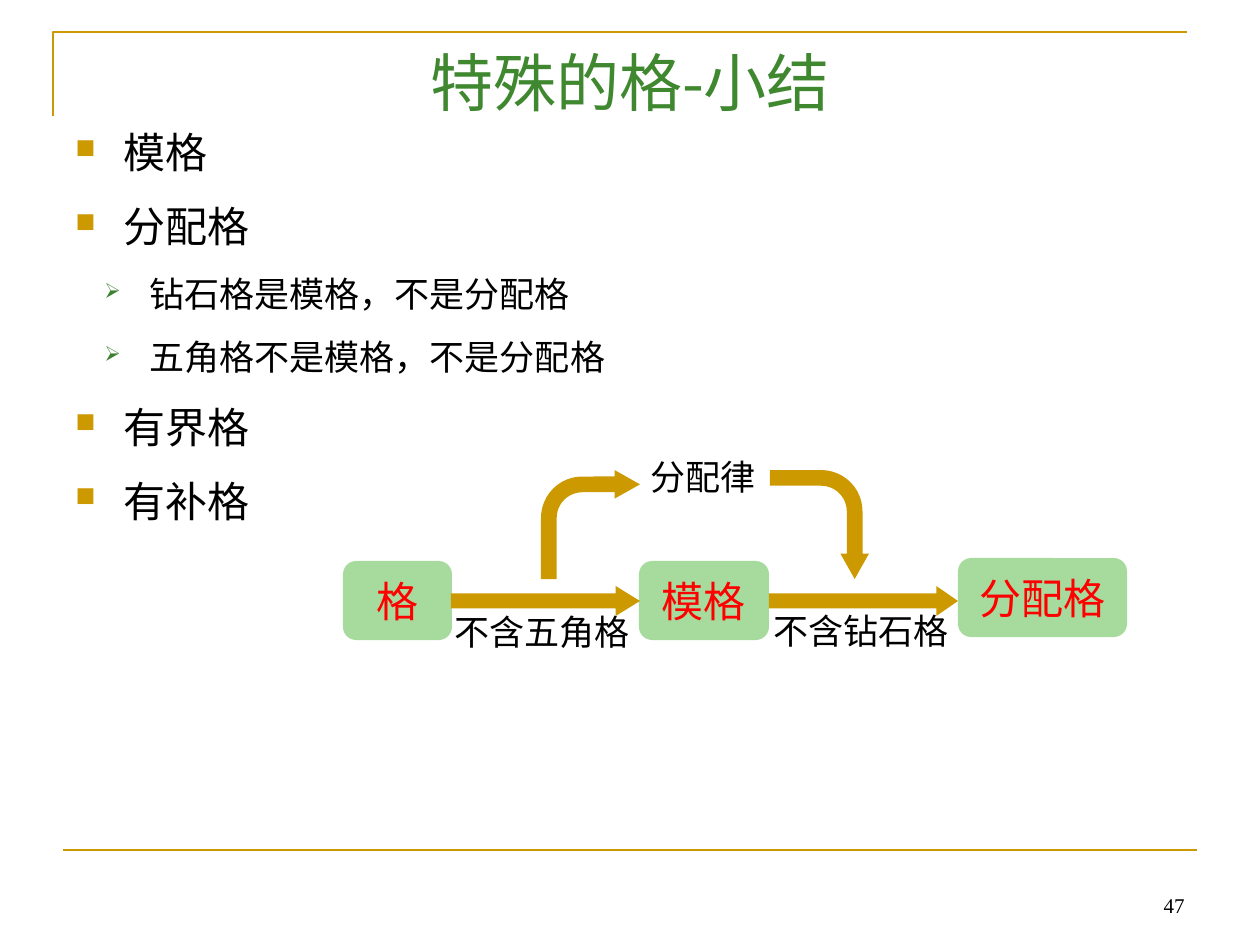
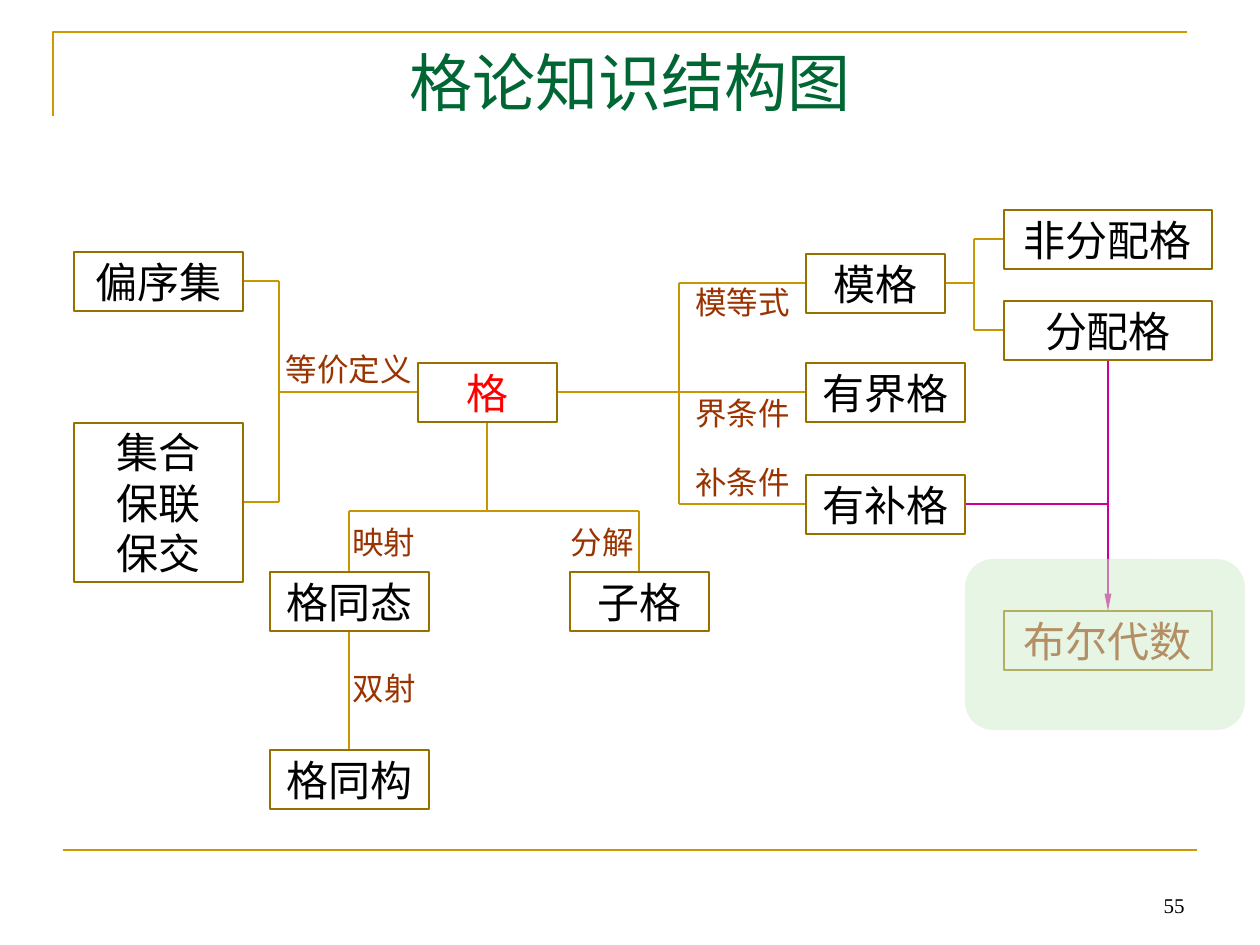
from dataclasses import dataclass

from pptx import Presentation
from pptx.dml.color import RGBColor
from pptx.enum.shapes import MSO_CONNECTOR, MSO_SHAPE
from pptx.enum.text import MSO_ANCHOR, PP_ALIGN
from pptx.oxml import parse_xml
from pptx.oxml.ns import nsdecls, qn
from pptx.util import Emu, Pt

PX = 914400 / 126
SANS, SANS_JP, SERIF = "Noto Sans CJK SC", "Noto Sans CJK JP", "Times New Roman"
GOLD, DARK_GOLD, LINK = "CC9900", "977100", "C89600"
BLACK, RED, BROWN, MAGENTA = "000000", "FF0000", "993300", "CC0099"
LEAF, PALE_LEAF = "A6DB9D", "D0ECCB"
NODE_HEIGHT = 59


@dataclass
class Box:
    x: int
    y: int
    w: int
    h: int

    def within(self, x, y, w, h):
        return Box(self.x + x, self.y + y, w, h)

    def emu(self):
        return [px(value) for value in (self.x, self.y, self.w, self.h)]

    @property
    def left(self):
        return self.x, self.y + self.h // 2

    @property
    def right(self):
        return self.x + self.w, self.y + self.h // 2

    @property
    def top(self):
        return self.x + self.w // 2, self.y

    @property
    def bottom(self):
        return self.x + self.w // 2, self.y + self.h


TITLE = Box(63, 38, 1134, 87)
BODY = Box(63, 116, 1134, 436)
NUMBER = Box(1096, 861, 101, 63)
SUMMARY = Box(343, 442, 784, 219)
MAP = Box(74, 210, 1138, 600)


def px(value):
    return Emu(round(value * PX))


def color(hex_code):
    return RGBColor.from_string(hex_code)


def xml(tag, attributes="", inner=""):
    return parse_xml(f"<a:{tag} {nsdecls('a')} {attributes}>{inner}</a:{tag}>")


def apply(target, formats):
    for name, value in formats.items():
        setattr(target, name, value)


def write(para, text, size, ink, face=SANS):
    span = para.add_run()
    span.text = text
    apply(span.font, {"name": face, "size": Pt(size)})
    span.font.color.rgb = color(ink)
    span.font._element.find(qn("a:latin")).addnext(xml("ea", f'typeface="{face}"'))


def fill_text(shape, text, size, ink, face=SANS, align=PP_ALIGN.CENTER,
              anchor=MSO_ANCHOR.MIDDLE, margin=0):
    frame = shape.text_frame
    apply(frame, {"word_wrap": True, "vertical_anchor": anchor,
                  "margin_top": margin, "margin_bottom": margin})
    if not margin:
        apply(frame, {"margin_left": 0, "margin_right": 0})
    lines = text.split("\n")
    for index, line in enumerate(lines):
        para = frame.add_paragraph() if index else frame.paragraphs[0]
        para.alignment = align
        if len(lines) > 1:
            para.line_spacing = Pt(size * 1.2)
        write(para, line, size, ink, face)


def add_label(page, box, text, size, ink, **options):
    fill_text(page.shapes.add_textbox(*box.emu()), text, size, ink, **options)


def add_block(page, kind, box, fill=None, line=None):
    shape = page.shapes.add_shape(kind, *box.emu())
    shape.shadow.inherit = False
    if fill:
        shape.fill.solid()
        shape.fill.fore_color.rgb = color(fill)
    else:
        shape.fill.background()
    if line:
        shape.line.color.rgb = color(line)
        shape.line.width = Pt(1.5)
    else:
        shape.line.fill.background()
    return shape


def add_line(page, start, end, ink=LINK, width=1, arrow=False):
    ends = [px(value) for value in (*start, *end)]
    line = page.shapes.add_connector(MSO_CONNECTOR.STRAIGHT, *ends)
    line.line.color.rgb = color(ink)
    line.line.width = Pt(width)
    if arrow:
        line.line._get_or_add_ln().append(
            xml("tailEnd", 'type="triangle" w="sm" len="lg"'))
    line._element.spPr.append(xml("effectLst"))


def add_frame(page, title, title_ink, number):
    """Draw the corner rule, the bottom rule, the title and the page number."""
    builder = page.shapes.build_freeform(px(53), px(116), scale=1.0)
    builder.add_line_segments([(px(53), px(32)), (px(1187), px(32))], close=False)
    corner = builder.convert_to_shape()
    corner.shadow.inherit = False
    corner.fill.background()
    corner.line.color.rgb = color(GOLD)
    corner.line.width = Pt(1.5)
    add_line(page, (63, 850), (1197, 850), GOLD, 1.5)
    add_label(page, TITLE, title, 36, title_ink, margin=Pt(3.6))
    add_label(page, NUMBER, number, 12, BLACK, face=SERIF, align=PP_ALIGN.RIGHT,
              anchor=MSO_ANCHOR.BOTTOM, margin=Pt(3.6))


def add_bullets(page, box, items):
    levels = [  # sign, sign colour, sign percent, margin, hanging, text size
        ("■", GOLD, 65, 48, 48, 24),
        ("➢", "3B812F", 60, 74, 45, 20),
    ]
    frame = page.shapes.add_textbox(*box.emu()).text_frame
    frame.word_wrap = True
    for index, (level, text) in enumerate(items):
        sign, ink, percent, margin, hanging, size = levels[level]
        para = frame.add_paragraph() if index else frame.paragraphs[0]
        properties = para._p.get_or_add_pPr()
        properties.set("marL", str(px(margin)))
        properties.set("indent", str(-px(hanging)))
        properties.append(xml("buClr", inner=f'<a:srgbClr val="{ink}"/>'))
        properties.append(xml("buSzPct", f'val="{percent * 1000}"'))
        properties.append(xml("buChar", f'char="{sign}"'))
        apply(para, {"level": level, "line_spacing": Pt(size * 1.31),
                     "space_before": Pt(size * 0.2 if index else 0),
                     "space_after": Pt(6)})
        write(para, text, size, BLACK)


def add_summary_flow(page, box):
    nodes = [("格", 0, 119, 109), ("模格", 296, 119, 130), ("分配格", 615, 116, 169)]
    for text, x, y, width in nodes:
        node = add_block(page, MSO_SHAPE.ROUNDED_RECTANGLE,
                         box.within(x, y, width, 79), LEAF)
        fill_text(node, text, 24, RED)
    bent = (0.159, 0.145, 0.257, 0.418)
    arrows = [
        (MSO_SHAPE.RIGHT_ARROW, (108, 144, 189, 30), (0.5, 0.809), 0),
        (MSO_SHAPE.RIGHT_ARROW, (426, 144, 189, 30), (0.5, 0.72), 0),
        (MSO_SHAPE.BENT_ARROW, (198, 28, 99, 109), bent, 0),
        (MSO_SHAPE.BENT_ARROW, (422, 33, 109, 99), bent, 90),
    ]
    for kind, place, adjustments, turn in arrows:
        arrow = add_block(page, kind, box.within(*place), GOLD)
        arrow.rotation = turn
        for index, value in enumerate(adjustments):
            arrow.adjustments[index] = value
    labels = [("分配律", (266, 0, 189, 69)), ("不含五角格", (90, 160, 218, 59)),
              ("不含钻石格", (414, 159, 208, 59))]
    for text, place in labels:
        add_label(page, box.within(*place), text, 20, BLACK)


def add_branches(page, stem, spine, tips):
    """Join a stem point to tip points through an upright spine."""
    heights = [y for _, y in tips] + [stem[1]]
    add_line(page, stem, (spine, stem[1]))
    add_line(page, (spine, min(heights)), (spine, max(heights)))
    for tip in tips:
        add_line(page, (spine, tip[1]), tip)


def add_drops(page, stem, spine, tips):
    """Join a stem point to tip points below through a level spine."""
    columns = [x for x, _ in tips]
    add_line(page, stem, (stem[0], spine))
    add_line(page, (min(columns), spine), (max(columns), spine))
    for tip in tips:
        add_line(page, (tip[0], spine), tip)


def add_knowledge_map(page, box):
    places = {
        "偏序集": (0, 42, 169), "集合\n保联\n保交": (0, 213, 169),
        "格": (344, 153, 139), "格同态": (196, 362, 159), "子格": (496, 362, 139),
        "格同构": (196, 540, 159), "模格": (732, 44, 139), "有界格": (732, 153, 159),
        "有补格": (732, 265, 159), "非分配格": (930, 0, 208),
        "分配格": (930, 91, 208), "布尔代数": (930, 401, 208),
    }
    nodes = {}
    for text, place in places.items():
        height = 159 if "\n" in text else NODE_HEIGHT
        nodes[text] = box.within(*place, height)
    lattice, boolean = nodes["格"], nodes["布尔代数"]
    add_branches(page, lattice.left, box.x + 205,
                 [nodes["偏序集"].right, nodes["集合\n保联\n保交"].right])
    add_branches(page, lattice.right, box.x + 605,
                 [nodes[name].left for name in ("模格", "有界格", "有补格")])
    add_branches(page, nodes["模格"].right, box.x + 900,
                 [nodes[name].left for name in ("非分配格", "分配格")])
    add_drops(page, lattice.bottom, box.y + 301,
              [nodes[name].top for name in ("格同态", "子格")])
    add_line(page, nodes["格同态"].bottom, nodes["格同构"].top)
    complemented = nodes["有补格"].right
    add_line(page, complemented, (boolean.top[0], complemented[1]), MAGENTA)
    add_line(page, nodes["分配格"].bottom, boolean.top, MAGENTA, arrow=True)

    labels = [("等价定义", 199, 129, 152), ("映射", 260, 302, 100),
              ("分解", 473, 302, 111), ("双射", 255, 448, 110),
              ("模等式", 604, 62, 129), ("界条件", 604, 173, 129),
              ("补条件", 604, 242, 129)]
    for text, *place in labels:
        add_label(page, box.within(*place, NODE_HEIGHT), text, 18, BROWN)

    accents = {"格": (RED, SANS_JP), "布尔代数": (BROWN, SANS_JP)}
    for text, place in nodes.items():
        node = add_block(page, MSO_SHAPE.RECTANGLE, place, line=DARK_GOLD)
        fill_text(node, text, 24, *accents.get(text, (BLACK, SANS)))

    veil = add_block(page, MSO_SHAPE.ROUNDED_RECTANGLE,
                     box.within(891, 349, 280, 171), PALE_LEAF)
    tint = veil._element.spPr.find(qn("a:solidFill")).find(qn("a:srgbClr"))
    tint.append(xml("alpha", 'val="50000"'))


def build_summary(page):
    add_frame(page, "特殊的格-小结", "3F8830", "47")
    add_bullets(page, BODY, [
        (0, "模格"), (0, "分配格"), (1, "钻石格是模格，不是分配格"),
        (1, "五角格不是模格，不是分配格"), (0, "有界格"), (0, "有补格"),
    ])
    add_summary_flow(page, SUMMARY)


def build_structure(page):
    add_frame(page, "格论知识结构图", "006633", "55")
    add_knowledge_map(page, MAP)


def main():
    deck = Presentation()
    apply(deck, {"slide_width": px(1260), "slide_height": px(945)})
    for build in (build_summary, build_structure):
        build(deck.slides.add_slide(deck.slide_layouts[6]))
    deck.save("out.pptx")


if __name__ == "__main__":
    main()
